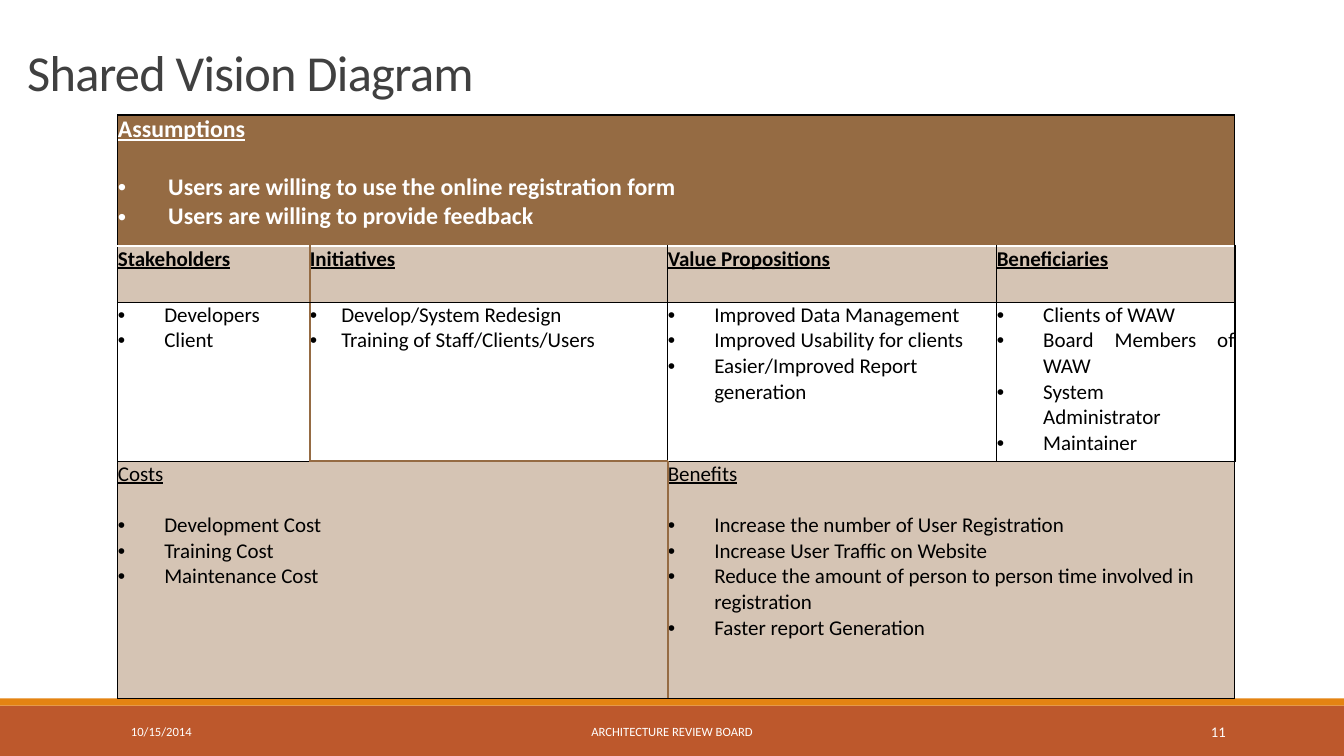
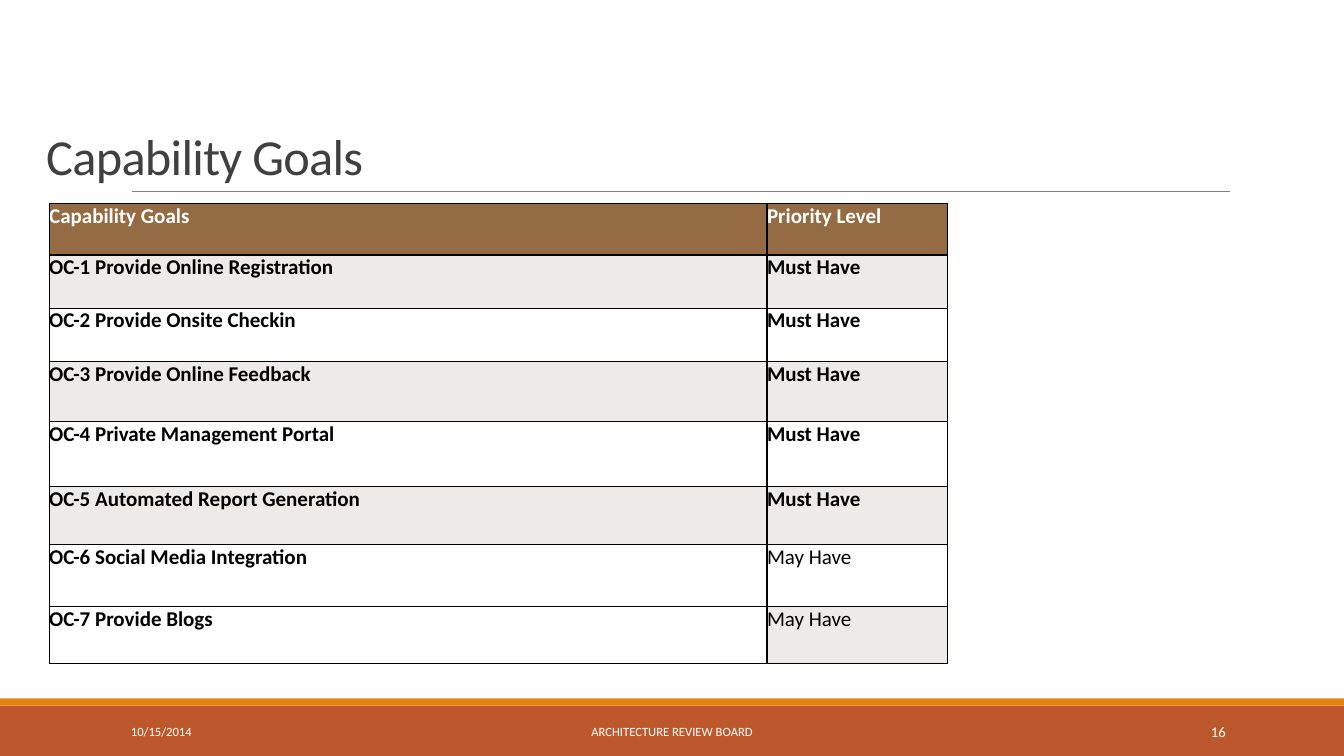
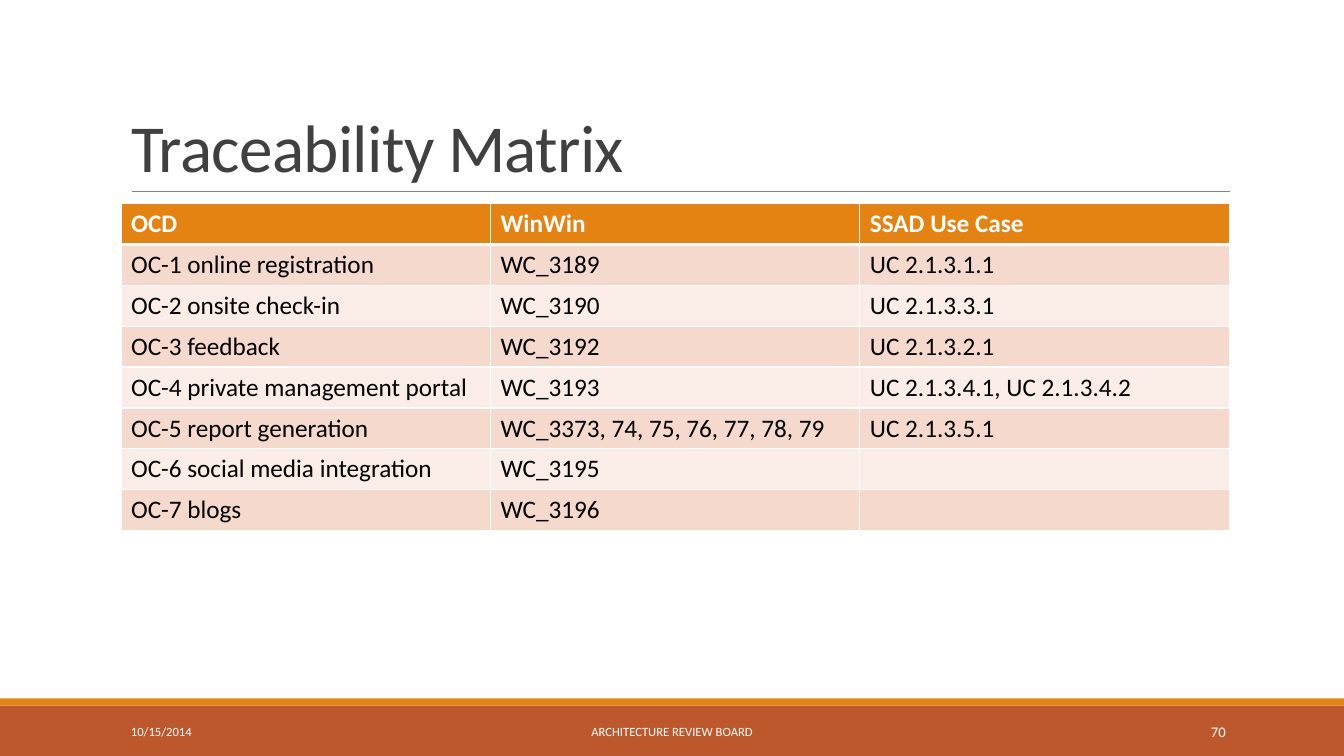
from lxml import etree
from pptx import Presentation
from pptx.dml.color import RGBColor
from pptx.enum.shapes import MSO_CONNECTOR, MSO_SHAPE
from pptx.enum.text import MSO_ANCHOR, MSO_AUTO_SIZE, PP_ALIGN
from pptx.oxml.ns import qn
from pptx.util import Cm, Pt

LEFT, CENTER, RIGHT, JUSTIFY = PP_ALIGN.LEFT, PP_ALIGN.CENTER, PP_ALIGN.RIGHT, PP_ALIGN.JUSTIFY
BOTTOM, MIDDLE = MSO_ANCHOR.BOTTOM, MSO_ANCHOR.MIDDLE
RECTANGLE, STRAIGHT = MSO_SHAPE.RECTANGLE, MSO_CONNECTOR.STRAIGHT
NO_FIT = MSO_AUTO_SIZE.NONE

FONT = "Calibri"
WHITE, BLACK, CHARCOAL, GRAY = "FFFFFF", "000000", "404040", "808080"
RUST, ORANGE, BROWN, TAN, MIST = "BD582C", "E48312", "956B43", "D5C4B4", "EEEAE8"
PEACH, PALE_PEACH = "F5D9CC", "FAEDE7"
PAGE_WIDTH, PAGE_HEIGHT = 33.87, 19.05
LINE_HEIGHT = 1.22

VISION_COLUMNS = [4.84, 9.02, 8.29, 6]
VISION_ROWS = [3.3, 1.41, 4.01, 5.97]
ASSUMPTIONS = ["Users are willing to use the online registration form",
               "Users are willing to provide feedback"]
VISION_PARTS = [
    ("Stakeholders", ["Developers", "Client"], 1.17, JUSTIFY),
    ("Initiatives", ["Develop/System Redesign", "Training of Staff/Clients/Users"], 0.79, LEFT),
    ("Value Propositions", ["Improved Data Management", "Improved Usability for clients",
                            "Easier/Improved Report generation"], 1.17, LEFT),
    ("Beneficiaries", ["Clients of WAW", "Board Members of WAW",
                       "System \nAdministrator", "Maintainer"], 1.17, JUSTIFY),
]
OUTCOMES = [
    ("Costs", ["Development Cost", "Training Cost", "Maintenance Cost"]),
    ("Benefits", ["Increase the number of User Registration", "Increase User Traffic on Website",
                  "Reduce the amount of person to person time involved in registration",
                  "Faster report Generation"]),
]

GOAL_COLUMNS = [18.09, 4.55]
GOAL_ROWS = [1.29, 1.34, 1.36, 1.51, 1.64, 1.46, 1.56, 1.44]
GOALS = [
    ("Capability Goals", "Priority Level"),
    ("OC-1 Provide Online Registration", "Must Have"),
    ("OC-2 Provide Onsite Checkin", "Must Have"),
    ("OC-3 Provide Online Feedback", "Must Have"),
    ("OC-4 Private Management Portal", "Must Have"),
    ("OC-5 Automated Report Generation", "Must Have"),
    ("OC-6 Social Media Integration", "May Have"),
    ("OC-7 Provide Blogs", "May Have"),
]

TRACES = [
    ("OCD", "WinWin", "SSAD Use Case"),
    ("OC-1 online registration", "WC_3189", "UC 2.1.3.1.1"),
    ("OC-2 onsite check-in", "WC_3190", "UC 2.1.3.3.1"),
    ("OC-3 feedback", "WC_3192", "UC 2.1.3.2.1"),
    ("OC-4 private management portal", "WC_3193", "UC 2.1.3.4.1, UC 2.1.3.4.2"),
    ("OC-5 report generation", "WC_3373, 74, 75, 76, 77, 78, 79", "UC 2.1.3.5.1"),
    ("OC-6 social media integration", "WC_3195", ""),
    ("OC-7 blogs", "WC_3196", ""),
]


def color(code):
    """Turn a hex string into a colour."""
    return RGBColor.from_string(code)


def add_text(para, text, size, ink, bold=False, underline=False):
    """Write text into a paragraph, breaking lines at newlines."""
    for index, piece in enumerate(text.split("\n")):
        if index:
            para.add_line_break()
        if piece:
            span = para.add_run()
            span.text = piece
            font = span.font
            font.name, font.size, font.bold, font.underline = FONT, Pt(size), bold, underline
            font.color.rgb = color(ink)


def add_bullet(para, indent):
    """Give a paragraph a round bullet with a hanging indent in centimetres."""
    properties = para._p.get_or_add_pPr()
    properties.set("marL", str(Cm(indent)))
    properties.set("indent", str(-Cm(indent)))
    etree.SubElement(properties, qn("a:buFont")).set("typeface", "Arial")
    etree.SubElement(properties, qn("a:buChar")).set("char", "•")


def add_band(page, top, height, fill):
    """Draw a full-width band."""
    band = page.shapes.add_shape(RECTANGLE, 0, Cm(top), Cm(PAGE_WIDTH), Cm(height))
    band.shadow.inherit = False
    band.fill.solid()
    band.fill.fore_color.rgb = color(fill)
    band.line.fill.background()


def add_footer(page, number):
    """Draw the bands with the date, the footer text and the page number."""
    add_band(page, 17.78, 1.27, RUST)
    add_band(page, 17.6, 0.18, ORANGE)
    for left, width, align, text, size in [
        (3.05, 6.86, LEFT, "10/15/2014", 9),
        (10.24, 13.39, CENTER, "ARCHITECTURE REVIEW BOARD", 9),
        (27.51, 3.63, RIGHT, number, 10.5),
    ]:
        box = page.shapes.add_textbox(Cm(left), Cm(17.93), Cm(width), Cm(1.02))
        frame = box.text_frame
        frame.word_wrap, frame.vertical_anchor = True, MIDDLE
        frame.paragraphs[0].alignment = align
        add_text(frame.paragraphs[0], text, size, WHITE)


def add_title_rule(page):
    """Draw the thin line under the title."""
    rule = page.shapes.add_connector(STRAIGHT, Cm(3.33), Cm(4.82), Cm(31), Cm(4.82))
    rule.line.color.rgb = color(GRAY)
    rule.line.width = Pt(0.5)
    etree.SubElement(rule._element.spPr, qn("a:effectLst"))


def set_title(page, text, left, top, height, size):
    """Place and format the title placeholder."""
    title = page.shapes.title
    title.left, title.top, title.width, title.height = Cm(left), Cm(top), Cm(27.94), Cm(height)
    frame = title.text_frame
    frame.word_wrap, frame.auto_size, frame.vertical_anchor = True, NO_FIT, BOTTOM
    para = frame.paragraphs[0]
    para.alignment, para.line_spacing = LEFT, 0.85
    add_text(para, text, size, CHARCOAL)
    para.runs[0].font._element.set("spc", "-50")


def add_page(deck, number, title, left, top, height, size=36, ruled=True):
    """Add a slide with the shared footer and title."""
    page = deck.slides.add_slide(deck.slide_layouts[5])
    add_footer(page, number)
    if ruled:
        add_title_rule(page)
    set_title(page, title, left, top, height, size)
    return page


def add_grid(page, left, top, columns, rows):
    """Add a plain table from its column widths and row heights."""
    frame = page.shapes.add_table(len(rows), len(columns), Cm(left), Cm(top),
                                  Cm(sum(columns)), Cm(sum(rows)))
    table = frame.table
    table.first_row = table.horz_banding = False
    for column, width in zip(table.columns, columns):
        column.width = Cm(width)
    for row, height in zip(table.rows, rows):
        row.height = Cm(height)
    return table


def style_cells(table, fill_of, edge_of):
    """Fill each cell and draw its edges, found by direction, row and column."""
    for row in range(len(table.rows)):
        for column in range(len(table.columns)):
            cell = table.cell(row, column)
            cell.fill.solid()
            cell.fill.fore_color.rgb = color(fill_of(row, column))
            edges = [("a:lnL", "V", row, column), ("a:lnR", "V", row, column + 1),
                     ("a:lnT", "H", row, column), ("a:lnB", "H", row + 1, column)]
            properties = cell._tc.get_or_add_tcPr()
            for index, (tag, *place) in enumerate(edges):
                ink, width = edge_of(*place)
                line = etree.Element(qn(tag), w=str(Pt(width)))
                solid = etree.SubElement(line, qn("a:solidFill"))
                etree.SubElement(solid, qn("a:srgbClr")).set("val", ink)
                properties.insert(index, line)


def clear_margins(cell):
    """Let the text of a cell start at its edges."""
    cell.margin_left = cell.margin_right = cell.margin_top = cell.margin_bottom = 0


def write_block(cell, heading, bullets, indent=1.17, align=LEFT, size=15, ink=BLACK, bold=False):
    """Write an underlined heading, bullets, or both into a cell."""
    clear_margins(cell)
    frame = cell.text_frame
    para = frame.paragraphs[0]
    if heading:
        add_text(para, heading, size, ink, bold, True)
        if bullets:
            para.space_after = Pt(round(size * LINE_HEIGHT, 1))
    for index, text in enumerate(bullets):
        if heading or index:
            para = frame.add_paragraph()
        para.alignment = align
        add_bullet(para, indent)
        add_text(para, text, size, ink, bold)


def vision_edge(direction, row, column):
    """Give the colour and width of an edge in the vision table."""
    if (direction, row, column) in {("V", 1, 1), ("V", 2, 1), ("H", 3, 1), ("V", 3, 2)}:
        return BROWN, 1.5
    if direction == "H" and row == 1:
        return WHITE, 2
    outer = column == 4 if direction == "V" else row == 0
    return BLACK, 1.5 if outer else 0.75


def add_vision_table(page, left, top):
    """Build the shared vision table."""
    table = add_grid(page, left, top, VISION_COLUMNS, VISION_ROWS)
    fills = [BROWN, TAN, WHITE, TAN]
    style_cells(table, lambda row, column: fills[row], vision_edge)
    for row, first, last in [(0, 0, 3), (3, 0, 1), (3, 2, 3)]:
        table.cell(row, first).merge(table.cell(row, last))
    write_block(table.cell(0, 0), "Assumptions", ASSUMPTIONS, 1.27, JUSTIFY, 17, WHITE, True)
    for column, (heading, bullets, indent, align) in enumerate(VISION_PARTS):
        write_block(table.cell(1, column), heading, [], bold=True)
        write_block(table.cell(2, column), "", bullets, indent, align)
    for index, (heading, bullets) in enumerate(OUTCOMES):
        write_block(table.cell(3, 2 * index), heading, bullets)


def goal_fill(row, column):
    """Give the fill of a cell in the goals table."""
    if row == 0:
        return BROWN
    return MIST if row % 2 and (row, column) != (7, 0) else WHITE


def goal_edge(direction, row, column):
    """Give the colour and width of an edge in the goals table."""
    thick = (direction == "V" and column == 1) or (direction == "H" and row == 1)
    return BLACK, 1.5 if thick else 0.75


def add_goal_table(page, left, top):
    """Build the capability goals table."""
    table = add_grid(page, left, top, GOAL_COLUMNS, GOAL_ROWS)
    style_cells(table, goal_fill, goal_edge)
    for row, texts in enumerate(GOALS):
        for column, text in enumerate(texts):
            cell = table.cell(row, column)
            clear_margins(cell)
            para = cell.text_frame.paragraphs[0]
            para.alignment = JUSTIFY if row and column == 0 else LEFT
            add_text(para, text, 15, BLACK if row else WHITE, text != "May Have")


def trace_fill(row, column):
    """Give the fill of a cell in the traceability table."""
    if row == 0:
        return ORANGE
    return PEACH if row % 2 else PALE_PEACH


def trace_edge(direction, row, column):
    """Give the colour and width of an edge in the traceability table."""
    return WHITE, 3 if direction == "H" and row == 1 else 1


def add_trace_table(page, left, top):
    """Build the traceability table."""
    table = add_grid(page, left, top, [9.31] * 3, [1.03] * len(TRACES))
    style_cells(table, trace_fill, trace_edge)
    for row, texts in enumerate(TRACES):
        for column, text in enumerate(texts):
            para = table.cell(row, column).text_frame.paragraphs[0]
            add_text(para, text, 18, BLACK if row else WHITE, row == 0)


def main():
    """Build the three slides and save the deck."""
    deck = Presentation()
    deck.slide_width, deck.slide_height = Cm(PAGE_WIDTH), Cm(PAGE_HEIGHT)
    vision = add_page(deck, "11", "Shared Vision Diagram", 0.43, -0.41, 3.1, ruled=False)
    add_vision_table(vision, 2.97, 2.9)
    goals = add_page(deck, "16", "Capability Goals", 0.91, 3.07, 1.75)
    add_goal_table(goals, 1.24, 5.13)
    traces = add_page(deck, "70", "Traceability Matrix", 3.05, 0.79, 4.04, 48)
    add_trace_table(traces, 3.05, 5.13)
    deck.save("out.pptx")


if __name__ == "__main__":
    main()
